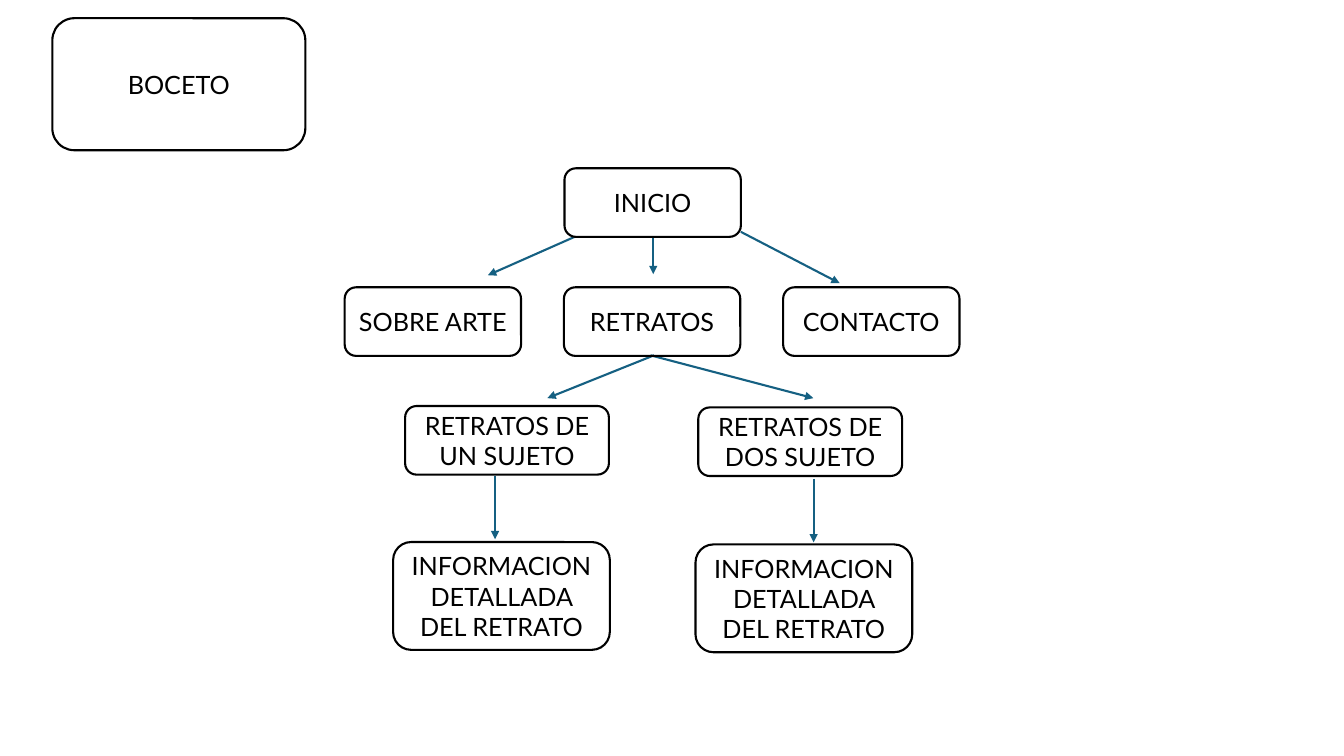
from lxml.etree import SubElement
from pptx import Presentation
from pptx.dml.color import RGBColor
from pptx.enum.shapes import MSO_CONNECTOR, MSO_SHAPE
from pptx.enum.text import MSO_ANCHOR, PP_ALIGN
from pptx.oxml.ns import qn
from pptx.util import Pt

# Content: each row has a top, a box size, a left edge, a step (right, down) and its labels
ROWS = [
    (13, (180.7, 94.3), 37.4, (0, 0), ["BOCETO"]),
    (120.2, (126, 49), 403.2, (0, 0), ["INICIO"]),
    (205.2, (126, 49), 246.2, (156.6, 0), ["SOBRE ARTE", "RETRATOS", "CONTACTO"]),
    (290, (145.6, 49), 289.4, (209.4, 1),
     ["RETRATOS DE UN SUJETO", "RETRATOS DE DOS SUJETO"]),
    (387.2, (154.8, 77), 280.8, (216, 1.7), ["INFORMACION DETALLADA DEL RETRATO"] * 2),
]

# Arrows: start and end
ARROWS = [
    ((466.6, 169.2), (466.6, 195.8)),
    ((410.4, 169.2), (348.5, 196.6)),
    ((529.2, 165.6), (599.8, 202.3)),
    ((464.6, 253.8), (581, 284.4)),
    ((467.2, 253.8), (391, 284.4)),
    ((353.6, 340), (353.6, 385.2)),
    ((581.2, 342), (581.2, 387.4)),
]

# Formats
INK, TEAL = "000000", "156082"
FONT = {"name": "Lato", "size": Pt(18)}
FRAME = {"word_wrap": True, "vertical_anchor": MSO_ANCHOR.MIDDLE}


def apply(item, values):
    for name, value in values.items():
        setattr(item, name, value)


def paint(color, code):
    color.rgb = RGBColor.from_string(code)


def stroke(line, code):
    line.width = Pt(1.5)
    paint(line.color, code)


def add_box(slide, text, left, top, width, height):
    box = slide.shapes.add_shape(MSO_SHAPE.ROUNDED_RECTANGLE,
                                 Pt(left), Pt(top), Pt(width), Pt(height))
    box.shadow.inherit = False
    box.fill.background()
    stroke(box.line, INK)
    apply(box.text_frame, FRAME)
    para = box.text_frame.paragraphs[0]
    para.alignment = PP_ALIGN.CENTER
    run = para.add_run()
    run.text = text
    apply(run.font, FONT)
    paint(run.font.color, INK)


def add_arrow(slide, start, end):
    arrow = slide.shapes.add_connector(MSO_CONNECTOR.STRAIGHT,
                                       *map(Pt, start), *map(Pt, end))
    stroke(arrow.line, TEAL)
    props = arrow.element.spPr
    SubElement(props.find(qn("a:ln")), qn("a:tailEnd"), type="triangle")
    SubElement(props, qn("a:effectLst"))


def main():
    deck = Presentation()
    apply(deck, {"slide_width": Pt(960), "slide_height": Pt(540)})
    slide = deck.slides.add_slide(deck.slide_layouts[6])

    # Arrows lie behind the boxes
    for start, end in ARROWS:
        add_arrow(slide, start, end)

    # Boxes, spread evenly along each row
    for top, size, left, (right, down), labels in ROWS:
        for i, text in enumerate(labels):
            add_box(slide, text, left + i * right, top + i * down, *size)

    deck.save("out.pptx")


if __name__ == "__main__":
    main()
